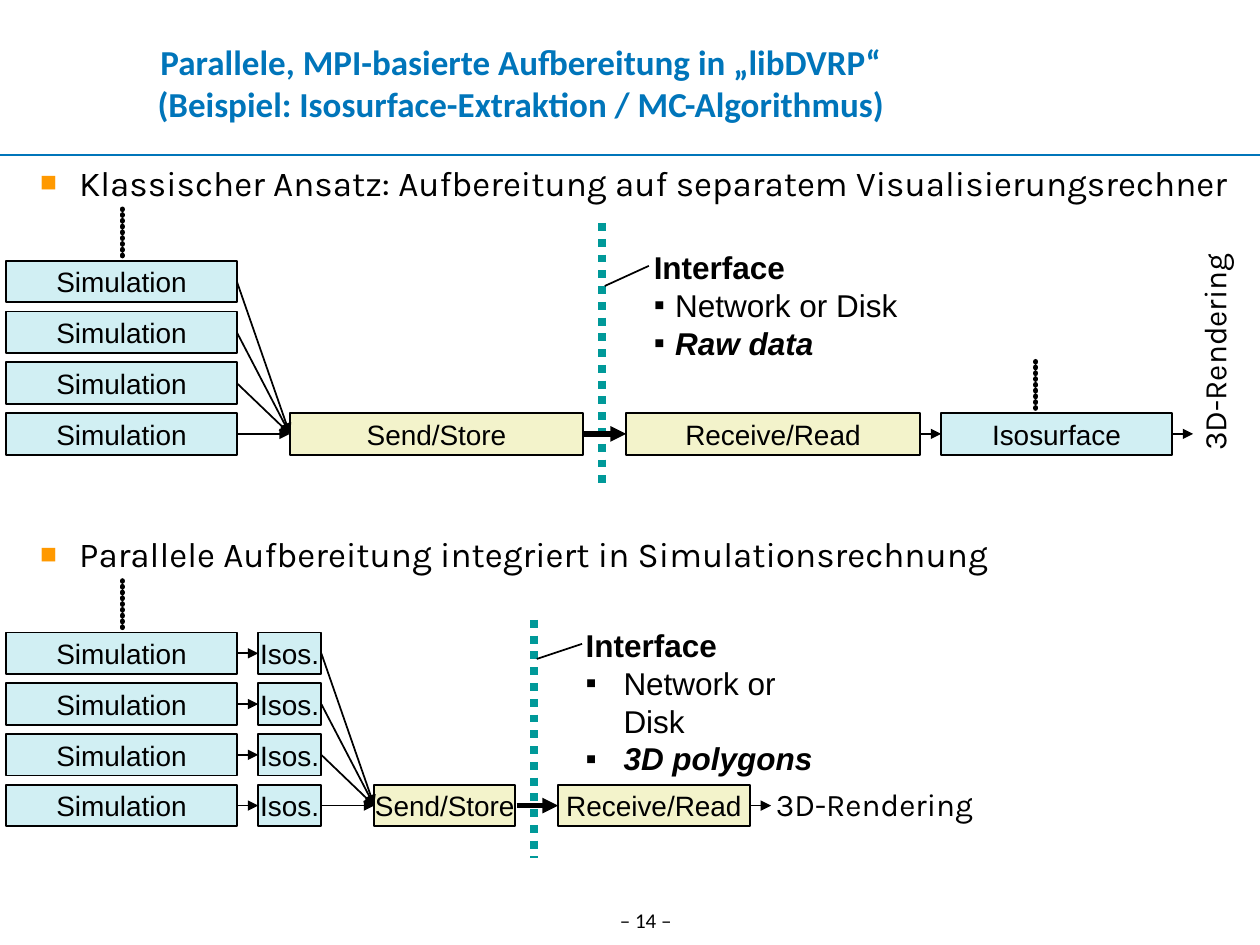
from lxml import etree
from pptx import Presentation
from pptx.dml.color import RGBColor
from pptx.enum.dml import MSO_LINE
from pptx.enum.shapes import MSO_CONNECTOR, MSO_SHAPE
from pptx.enum.text import MSO_ANCHOR, PP_ALIGN
from pptx.oxml.ns import qn
from pptx.util import Inches, Pt

BLUE = RGBColor(0x00, 0x75, 0xBA)
BLACK = RGBColor(0x00, 0x00, 0x00)
ORANGE = RGBColor(0xFF, 0x99, 0x00)
TEAL = RGBColor(0x00, 0x99, 0x99)
COMPUTE = RGBColor(0xD1, 0xEF, 0xF3)
TRANSFER = RGBColor(0xF3, 0xF3, 0xCB)

ROWS = 4
ROW_PITCH = 0.403
FIRST_ROW = 0.84
BLOCK_HEIGHT = 0.33
SIM_LEFT, SIM_WIDTH = 0.05, 1.83
SIM_RIGHT = SIM_LEFT + SIM_WIDTH


def row_top(row):
    return FIRST_ROW + row * ROW_PITCH


def row_middle(row):
    return row_top(row) + BLOCK_HEIGHT / 2


LAST_TOP = row_top(ROWS - 1)
LAST_MIDDLE = row_middle(ROWS - 1)


def style(para, name, size, color=BLACK, bold=False, italic=False):
    font = para.font
    font.name, font.size = name, Pt(size)
    font.color.rgb = color
    font.bold, font.italic = bold, italic


def add_bullet(para, char, color, hang, percent=100):
    props = para._p.get_or_add_pPr()
    props.set("marL", str(Inches(hang)))
    props.set("indent", str(-Inches(hang)))
    shade = etree.SubElement(props, qn("a:buClr"))
    etree.SubElement(shade, qn("a:srgbClr"), val=str(color))
    etree.SubElement(props, qn("a:buSzPct"), val=str(percent * 1000))
    etree.SubElement(props, qn("a:buFont"), typeface="Arial")
    etree.SubElement(props, qn("a:buChar"), char=char)


def add_text(page, box, text, wrap=True):
    frame = page.shapes.add_textbox(*map(Inches, box)).text_frame
    frame.word_wrap = wrap
    frame.text = text
    return frame


def add_line(page, start, end, width=1, color=BLACK, arrow=False):
    line = page.shapes.add_connector(
        MSO_CONNECTOR.STRAIGHT, *map(Inches, (*start, *end)))
    line.line.width = Pt(width)
    line.line.color.rgb = color
    if arrow:
        etree.SubElement(line.line._get_or_add_ln(), qn("a:tailEnd"), type="triangle")
    etree.SubElement(line._element.spPr, qn("a:effectLst"))
    return line


def add_more_dots(page, x, top):
    """Tight round dots that stand for further processes."""
    outline = add_line(page, (x, top + 0.37), (x, top), 3).line._get_or_add_ln()
    outline.set("cap", "rnd")
    dashes = etree.SubElement(outline, qn("a:custDash"))
    etree.SubElement(dashes, qn("a:ds"), d="10000", sp="100000")


def add_block(page, left, top, width, label, fill):
    block = page.shapes.add_shape(
        MSO_SHAPE.RECTANGLE, *map(Inches, (left, top, width, BLOCK_HEIGHT)))
    block.shadow.inherit = False
    block.fill.solid()
    block.fill.fore_color.rgb = fill
    block.line.color.rgb = BLACK
    block.line.width = Pt(1)
    frame = block.text_frame
    frame.word_wrap = False
    frame.vertical_anchor = MSO_ANCHOR.MIDDLE
    para = frame.paragraphs[0]
    para.text = label
    para.alignment = PP_ALIGN.CENTER
    style(para, "Arial", 16)


def add_column(page, left, top, width, label):
    for row in range(ROWS):
        add_block(page, left, top + row_top(row), width, label, COMPUTE)


def add_fan(page, left, right, top):
    for row in range(ROWS):
        add_line(page, (left, top + row_middle(row)),
                 (right, top + LAST_MIDDLE), arrow=True)


def add_heading(page, left, top, width, text):
    para = add_text(page, (left, top, width, 0.47), text).paragraphs[0]
    add_bullet(para, "■", ORANGE, 0.31, 80)
    style(para, "Karla", 20)


def add_interface(page, box, medium, data, hang, wrap):
    frame = add_text(page, box, "Interface", wrap)
    style(frame.paragraphs[0], "Arial", 18, bold=True)
    for text, strong in ((medium, False), (data, True)):
        para = frame.add_paragraph()
        para.text = text
        add_bullet(para, "▪", BLACK, hang)
        style(para, "Arial", 18, bold=strong, italic=strong)


def add_boundary(page, x, top, bottom):
    line = add_line(page, (x, top), (x, bottom), 4.5, TEAL)
    line.line.dash_style = MSO_LINE.ROUND_DOT


def add_rendering(page, left, top, rotation=0):
    frame = add_text(page, (left, top, 1.83, 0.4), "3D-Rendering")
    style(frame.paragraphs[0], "Karla", 18)
    frame._parent.rotation = rotation


def add_header(page, left, top, width, height):
    add_line(page, (0, 1.23), (10, 1.23), 0.75, BLUE)
    frame = add_text(page, (left, top, width, height),
                     "Parallele, MPI-basierte Aufbereitung in „libDVRP“\v"
                     "(Beispiel: Isosurface-Extraktion / MC-Algorithmus)")
    frame.margin_left = frame.margin_right = frame.margin_top = frame.margin_bottom = 0
    frame.vertical_anchor = MSO_ANCHOR.MIDDLE
    frame.paragraphs[0].alignment = PP_ALIGN.CENTER
    style(frame.paragraphs[0], "Calibri", 20, BLUE, bold=True)


def add_page_number(page, box):
    para = add_text(page, box, "– 14 –").paragraphs[0]
    para.alignment = PP_ALIGN.CENTER
    style(para, "Calibri", 12)


def add_classic_flow(page, left, top):
    """Simulation, transfer of raw data, then separate extraction."""
    middle = top + LAST_MIDDLE
    add_heading(page, left + 0.22, top, 9.73,
                "Klassischer Ansatz: Aufbereitung auf separatem Visualisierungsrechner")
    add_boundary(page, left + 4.78, top + 0.54, top + 2.63)
    add_column(page, left + SIM_LEFT, top, SIM_WIDTH, "Simulation")
    for x, width, label, fill in ((2.3, 2.33, "Send/Store", TRANSFER),
                                  (4.97, 2.33, "Receive/Read", TRANSFER),
                                  (7.47, 1.83, "Isosurface", COMPUTE)):
        add_block(page, left + x, top + LAST_TOP, width, label, fill)
    # Flow
    add_fan(page, left + SIM_RIGHT, left + 2.3, top)
    for start, end, width in ((4.63, 4.97, 3), (7.3, 7.47, 1), (9.3, 9.47, 1)):
        add_line(page, (left + start, middle), (left + end, middle), width, arrow=True)
    add_more_dots(page, left + 0.97, top + 0.43)
    add_more_dots(page, left + 8.22, top + 1.64)
    # Interface note and result
    add_interface(page, (left + 5.09, top + 0.69, 2.15, 1),
                  "Network or Disk", "Raw data", 0.17, False)
    add_line(page, (left + 5.15, top + 0.88), (left + 4.8, top + 1.04))
    add_rendering(page, left + 8.72, top + 1.33, 270)


def add_integrated_flow(page, left, top):
    """Extraction beside each simulation, then transfer of polygons."""
    middle = top + LAST_MIDDLE
    add_heading(page, left + 0.22, top, 9.42,
                "Parallele Aufbereitung integriert in Simulationsrechnung")
    add_column(page, left + SIM_LEFT, top, SIM_WIDTH, "Simulation")
    add_column(page, left + 2.05, top, 0.5, "Isos.")
    for x, width, label in ((2.97, 1.12, "Send/Store"), (4.43, 1.52, "Receive/Read")):
        add_block(page, left + x, top + LAST_TOP, width, label, TRANSFER)
    # Flow
    for row in range(ROWS):
        y = top + row_middle(row)
        add_line(page, (left + SIM_RIGHT, y), (left + 2.05, y), arrow=True)
    add_fan(page, left + 2.55, left + 2.97, top)
    add_boundary(page, left + 4.24, top + 0.74, top + 2.63)
    for start, end, width in ((4.1, 4.43, 3), (5.95, 6.12, 1)):
        add_line(page, (left + start, middle), (left + end, middle), width, arrow=True)
    add_more_dots(page, left + 0.97, top + 0.43)
    # Interface note and result
    add_interface(page, (left + 4.55, top + 0.74, 2.15, 1),
                  "Network or Disk", "3D polygons", 0.3, True)
    add_line(page, (left + 4.62, top + 0.93), (left + 4.26, top + 1.05))
    add_rendering(page, left + 6.06, top + 2)


def main():
    deck = Presentation()
    deck.slide_width, deck.slide_height = Inches(10), Inches(7.5)
    page = deck.slides.add_slide(deck.slide_layouts[6])
    add_header(page, 0.2, 0.23, 7.87, 0.85)
    add_classic_flow(page, 0, 1.23)
    add_integrated_flow(page, 0, 4.18)
    add_page_number(page, (4.69, 7.15, 0.87, 0.3))
    deck.save("out.pptx")


if __name__ == "__main__":
    main()
